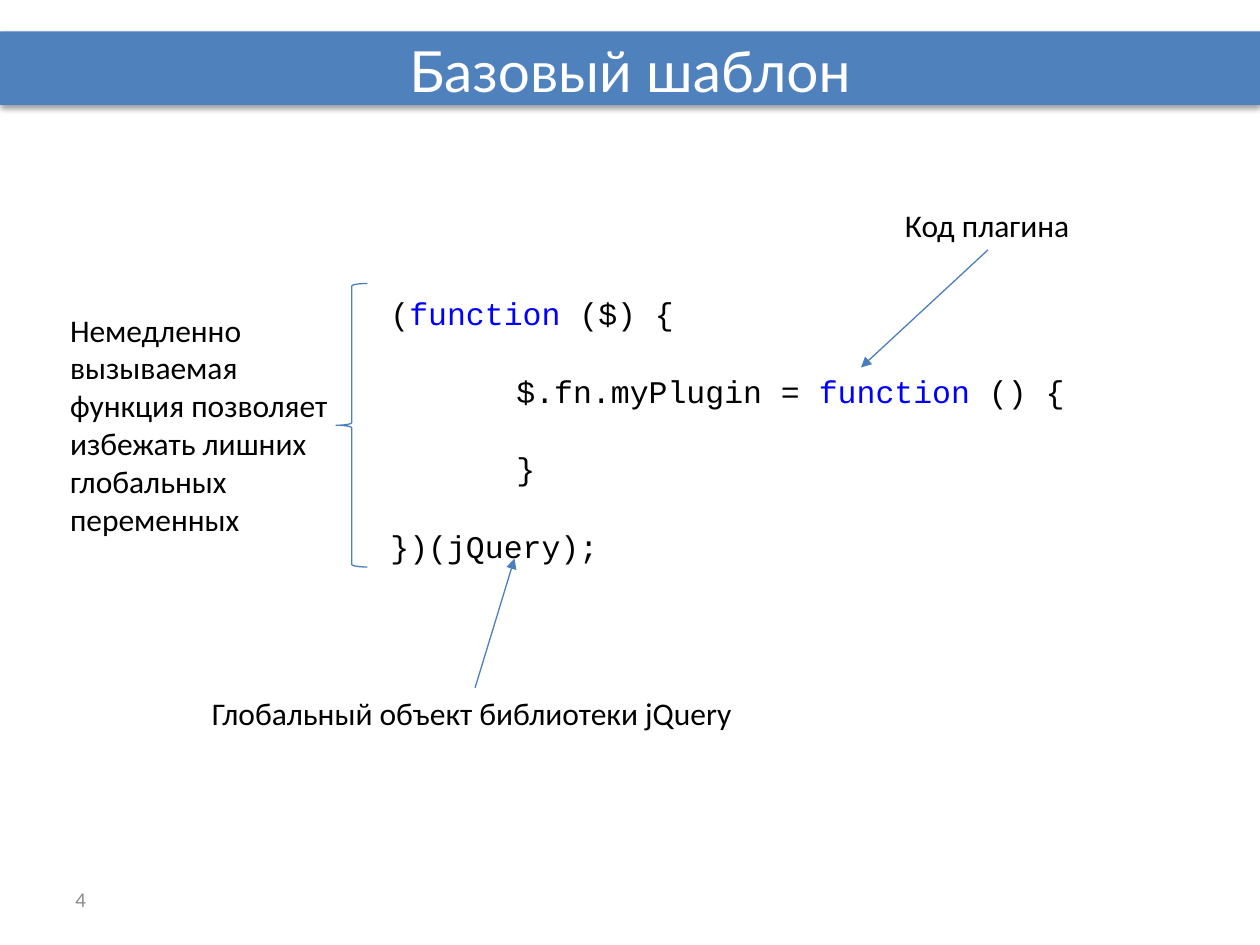
from dataclasses import dataclass

from lxml.etree import SubElement
from pptx import Presentation
from pptx.dml.color import RGBColor
from pptx.enum.shapes import MSO_CONNECTOR, MSO_SHAPE
from pptx.enum.text import MSO_ANCHOR, PP_ALIGN
from pptx.oxml import parse_xml
from pptx.oxml.ns import nsdecls, qn
from pptx.util import Emu, Pt

EMU_PER_PX = 7620  # 120 px to the inch
BAR_BLUE = RGBColor(0x4F, 0x81, 0xBD)
LINE_BLUE = RGBColor(0x4B, 0x7E, 0xBC)
KEYWORD_BLUE = RGBColor(0x00, 0x00, 0xFF)
BLACK = RGBColor(0x00, 0x00, 0x00)
WHITE = RGBColor(0xFF, 0xFF, 0xFF)
GRAY = RGBColor(0x8C, 0x8C, 0x8C)
CODE_INDENT = 120
CODE_GAP = Pt(22.8)


@dataclass(frozen=True)
class Box:
    left: int
    top: int
    width: int
    height: int

    def emu(self) -> tuple[Emu, ...]:
        return tuple(px(n) for n in (self.left, self.top, self.width, self.height))


@dataclass(frozen=True)
class Label:
    box: Box
    text: str
    font: str = "Calibri"
    size: float = 18
    color: RGBColor = BLACK
    anchor: MSO_ANCHOR = MSO_ANCHOR.TOP
    align: PP_ALIGN = PP_ALIGN.LEFT
    wrap: bool = True


@dataclass(frozen=True)
class Callout:
    """A label with an arrow from the middle of one of its sides."""
    label: Label
    side: int
    target: tuple[int, int]


@dataclass(frozen=True)
class CodeLine:
    level: int
    tokens: tuple[str, ...]


SLIDE_NUMBER = Label(Box(60, 832, 280, 48), "4", size=12, color=GRAY,
                     anchor=MSO_ANCHOR.MIDDLE)
TITLE = Label(Box(60, 30, 1080, 74), "Базовый шаблон", "Lato", 32.4, WHITE,
              MSO_ANCHOR.MIDDLE, PP_ALIGN.CENTER)
EXPLANATION = Label(
    Box(55, 290, 290, 230),
    "Немедленно вызываемая функция позволяет избежать лишних глобальных переменных")
CALLOUTS = (
    Callout(Label(Box(190, 655, 525, 48), "Глобальный объект библиотеки jQuery",
                  wrap=False), 0, (490, 532)),
    Callout(Label(Box(850, 190, 182, 48), "Код плагина", wrap=False), 2, (820, 350)),
)
KEYWORD = "function"
CODE = (
    CodeLine(0, ("(", KEYWORD, " ($) {")),
    CodeLine(1, ("$.fn.myPlugin = ", KEYWORD, " () {")),
    CodeLine(1, ("}",)),
    CodeLine(0, ("})(jQuery);",)),
)


def px(length: int) -> Emu:
    return Emu(length * EMU_PER_PX)


def add_run(paragraph, text: str, font: str, size: float, color: RGBColor) -> None:
    run = paragraph.add_run()
    run.text = text
    run.font.name = font
    run.font.size = Pt(size)
    run.font.color.rgb = color


def add_label(slide, label: Label):
    shape = slide.shapes.add_textbox(*label.box.emu())
    frame = shape.text_frame
    frame.word_wrap = label.wrap
    frame.vertical_anchor = label.anchor
    paragraph = frame.paragraphs[0]
    paragraph.alignment = label.align
    add_run(paragraph, label.text, label.font, label.size, label.color)
    return shape


def add_title_bar(slide) -> None:
    bar = slide.shapes.add_shape(MSO_SHAPE.RECTANGLE, *Box(0, 30, 1200, 70).emu())
    bar.fill.solid()
    bar.fill.fore_color.rgb = BAR_BLUE
    bar.line.fill.background()
    bar._element.spPr.append(parse_xml(
        f'<a:effectLst {nsdecls("a")}><a:outerShdw blurRad="{Pt(3.1)}" '
        f'dist="{Pt(1.6)}" dir="5400000" rotWithShape="0"><a:srgbClr val="000000">'
        '<a:alpha val="38000"/></a:srgbClr></a:outerShdw></a:effectLst>'))


def add_code(slide) -> None:
    frame = slide.shapes.add_textbox(*Box(360, 270, 706, 295).emu()).text_frame
    frame.word_wrap = True
    frame.margin_top = px(10)
    for index, line in enumerate(CODE):
        paragraph = frame.add_paragraph() if index else frame.paragraphs[0]
        if index:
            paragraph.space_before = CODE_GAP
        properties = paragraph._p.get_or_add_pPr()
        properties.set("marL", str(px(line.level * CODE_INDENT)))
        for token in line.tokens:
            color = KEYWORD_BLUE if token == KEYWORD else BLACK
            add_run(paragraph, token, "Courier New", 18, color)


def add_brace(slide) -> None:
    brace = slide.shapes.add_shape(MSO_SHAPE.LEFT_BRACE, *Box(320, 270, 30, 270).emu())
    brace.shadow.inherit = False
    brace.fill.background()
    brace.line.color.rgb = LINE_BLUE
    brace.line.width = Pt(0.75)


def add_callout(slide, callout: Callout) -> None:
    shape = add_label(slide, callout.label)
    end_x, end_y = (px(n) for n in callout.target)
    arrow = slide.shapes.add_connector(MSO_CONNECTOR.STRAIGHT, shape.left, shape.top,
                                       end_x, end_y)
    arrow.begin_connect(shape, callout.side)
    arrow.line.color.rgb = LINE_BLUE
    arrow.line.width = Pt(0.75)
    SubElement(arrow.line._get_or_add_ln(), qn("a:tailEnd"), type="triangle")
    SubElement(arrow._element.spPr, qn("a:effectLst"))


def main() -> None:
    presentation = Presentation()
    presentation.slide_width = px(1200)
    presentation.slide_height = px(900)
    slide = presentation.slides.add_slide(presentation.slide_layouts[6])
    add_label(slide, SLIDE_NUMBER)
    add_title_bar(slide)
    add_label(slide, TITLE)
    add_code(slide)
    add_brace(slide)
    add_label(slide, EXPLANATION)
    for callout in CALLOUTS:
        add_callout(slide, callout)
    presentation.save("out.pptx")


if __name__ == "__main__":
    main()
